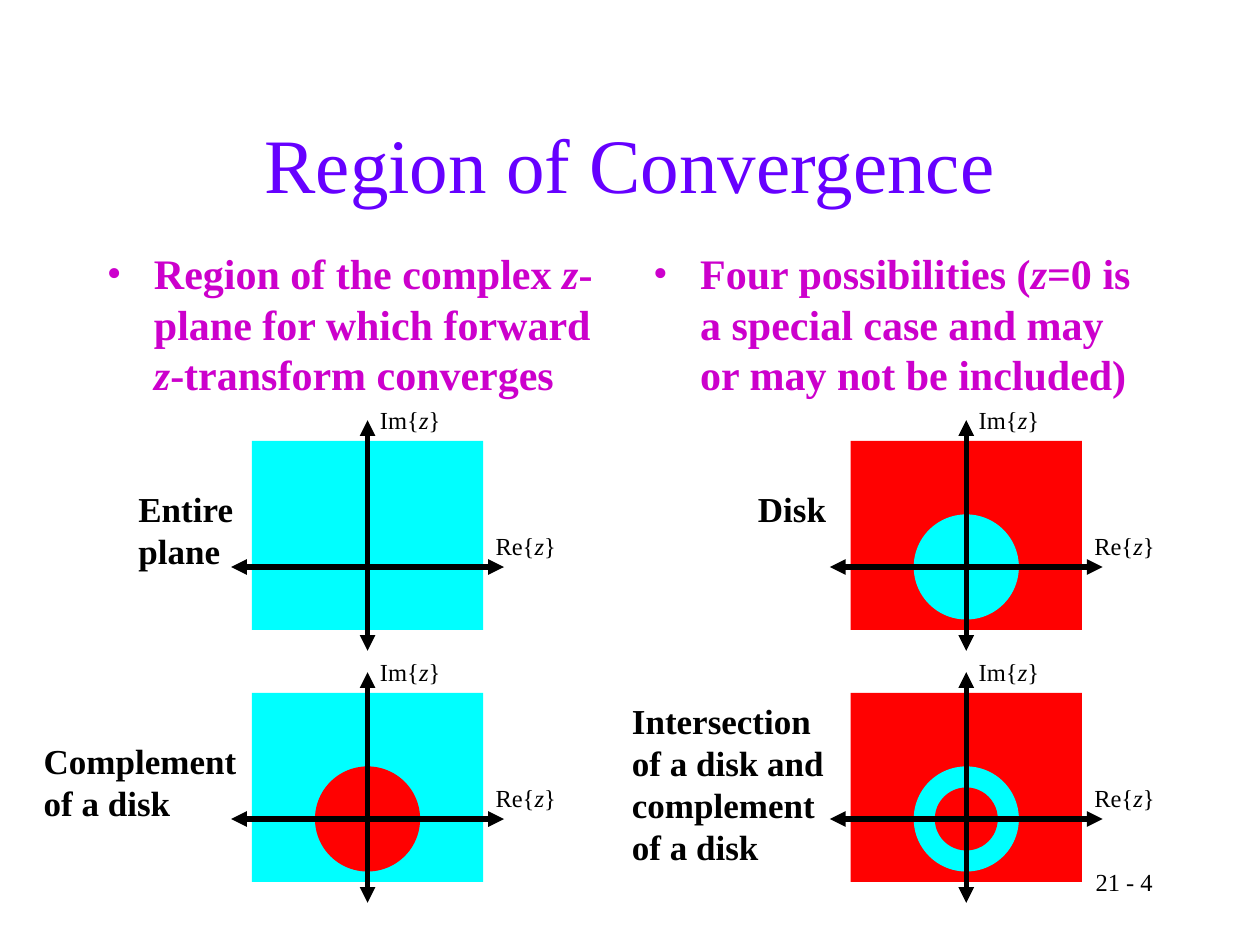
from lxml import etree
from pptx import Presentation
from pptx import util as u
from pptx.dml import color
from pptx.enum import shapes, text
from pptx.oxml import ns

INSIDE, OUTSIDE = "00FFFF", "FF0101"  # convergent and divergent regions
BLACK, VIOLET, MAGENTA = "000000", "6600FF", "CC00CC"


def rgb(hex_string):
    return color.RGBColor.from_string(hex_string)


def add_xml(parent, tag, **attributes):
    return etree.SubElement(parent, ns.qn(tag), attributes)


class SlideBuilder:
    font_name = "Times New Roman"
    plane_width, plane_height = 4.66, 3.81
    origin_x, origin_y = 2.33, 2.54  # measured from the plane's corner
    overhang = 0.42  # how far an axis reaches beyond the plane

    def __init__(self, slide):
        self.slide = slide

    def place(self, item, left, top, width, height):
        item.left, item.top = u.Cm(left), u.Cm(top)
        item.width, item.height = u.Cm(width), u.Cm(height)

    def add_wording(self, paragraph, wording, size, ink, bold=False):
        """Parts between asterisks become italic."""
        for index, part in enumerate(wording.split("*")):
            run = paragraph.add_run()
            run.text = part
            font = run.font
            font.name, font.size = self.font_name, u.Pt(size)
            font.bold, font.italic = bold, index % 2 == 1
            font.color.rgb = rgb(ink)

    def title(self, wording, *box):
        heading = self.slide.shapes.title
        self.place(heading, *box)
        frame = heading.text_frame
        frame.vertical_anchor = text.MSO_ANCHOR.MIDDLE
        frame.paragraphs[0].alignment = text.PP_ALIGN.CENTER
        self.add_wording(frame.paragraphs[0], wording, 44, VIOLET)

    def bullet(self, placeholder_index, wording, *box):
        body = self.slide.placeholders[placeholder_index]
        self.place(body, *box)
        body.text_frame.auto_size = text.MSO_AUTO_SIZE.NONE
        paragraph = body.text_frame.paragraphs[0]
        paragraph.space_before = u.Pt(0)
        properties = paragraph._p.get_or_add_pPr()
        indent = u.Cm(0.95)
        properties.set("marL", str(indent))
        properties.set("indent", str(-indent))
        add_xml(add_xml(properties, "a:buClr"), "a:srgbClr", val=MAGENTA)
        add_xml(properties, "a:buFont", typeface=self.font_name)
        add_xml(properties, "a:buChar", char="•")
        self.add_wording(paragraph, wording, 24, MAGENTA, bold=True)

    def label(self, parent, wording, box, size=14, bold=False,
              align=text.PP_ALIGN.LEFT):
        frame = parent.shapes.add_textbox(*map(u.Cm, box)).text_frame
        frame.word_wrap = True
        frame.paragraphs[0].alignment = align
        self.add_wording(frame.paragraphs[0], wording, size, BLACK, bold)

    def region(self, parent, kind, fill, *box):
        area = parent.shapes.add_shape(kind, *map(u.Cm, box))
        area.shadow.inherit = False
        area.fill.solid()
        area.fill.fore_color.rgb = rgb(fill)
        area.line.fill.background()

    def axis(self, parent, *ends):
        arrow = parent.shapes.add_connector(
            shapes.MSO_CONNECTOR.STRAIGHT, *map(u.Cm, ends))
        arrow.line.width = u.Pt(3)
        arrow.line.color.rgb = rgb(BLACK)
        line = arrow.line._get_or_add_ln()
        for end in ("a:headEnd", "a:tailEnd"):
            add_xml(line, end, type="triangle")
        add_xml(arrow._element.spPr, "a:effectLst")

    def z_plane(self, left, top, fill, disks, caption, caption_box):
        """Disks are (diameter, fill) pairs centred on the origin."""
        group = self.slide.shapes.add_group_shape()
        center_x, center_y = left + self.origin_x, top + self.origin_y
        right, bottom = left + self.plane_width, top + self.plane_height

        self.region(group, shapes.MSO_SHAPE.RECTANGLE, fill,
                    left, top, self.plane_width, self.plane_height)
        for diameter, disk_fill in disks:
            self.region(group, shapes.MSO_SHAPE.OVAL, disk_fill,
                        center_x - diameter / 2, center_y - diameter / 2,
                        diameter, diameter)

        self.axis(group, left - self.overhang, center_y,
                  right + self.overhang, center_y)
        self.axis(group, center_x, top - self.overhang,
                  center_x, bottom + self.overhang)

        self.label(group, "Im{*z*}", (center_x, top - 0.85, 1.9, 0.86))
        self.label(group, "Re{*z*}", (right, center_y - 0.85, 1.9, 0.86))
        self.label(group, caption, caption_box, size=20, bold=True)


def main():
    deck = Presentation()
    deck.slide_width, deck.slide_height = u.Cm(25.4), u.Cm(19.05)
    builder = SlideBuilder(deck.slides.add_slide(deck.slide_layouts[3]))

    # Title and the two bullet columns
    builder.title("Region of Convergence", 1.9, 1.69, 21.6, 3.18)
    builder.bullet(1, "Region of the complex *z*-plane for which forward "
                   "*z*-transform converges", 1.9, 4.87, 10.59, 12.07)
    builder.bullet(2, "Four possibilities (*z*=0 is a special case and may "
                   "or may not be included)", 12.91, 4.87, 10.59, 12.07)

    # Two by two grid of z-planes
    large, small = 2.12, 1.27
    planes = [
        (0, 0, INSIDE, [], "Entire plane", (2.54, 9.7, 2.54, 1.96)),
        (0, 1, INSIDE, [(large, OUTSIDE)], "Complement of a disk",
         (0.63, 14.78, 4.45, 1.96)),
        (1, 0, OUTSIDE, [(large, INSIDE)], "Disk", (15.03, 9.7, 2.12, 1.12)),
        (1, 1, OUTSIDE, [(large, INSIDE), (small, OUTSIDE)],
         "Intersection of a disk and complement of a disk",
         (12.49, 13.97, 4.66, 3.66)),
    ]
    for column, row, *details in planes:
        builder.z_plane(5.08 + 12.07 * column, 8.89 + 5.08 * row, *details)

    # Page number
    builder.label(builder.slide, "21 - 4", (18.21, 17.35, 5.28, 1.27),
                  align=text.PP_ALIGN.RIGHT)

    deck.save("out.pptx")


if __name__ == "__main__":
    main()
